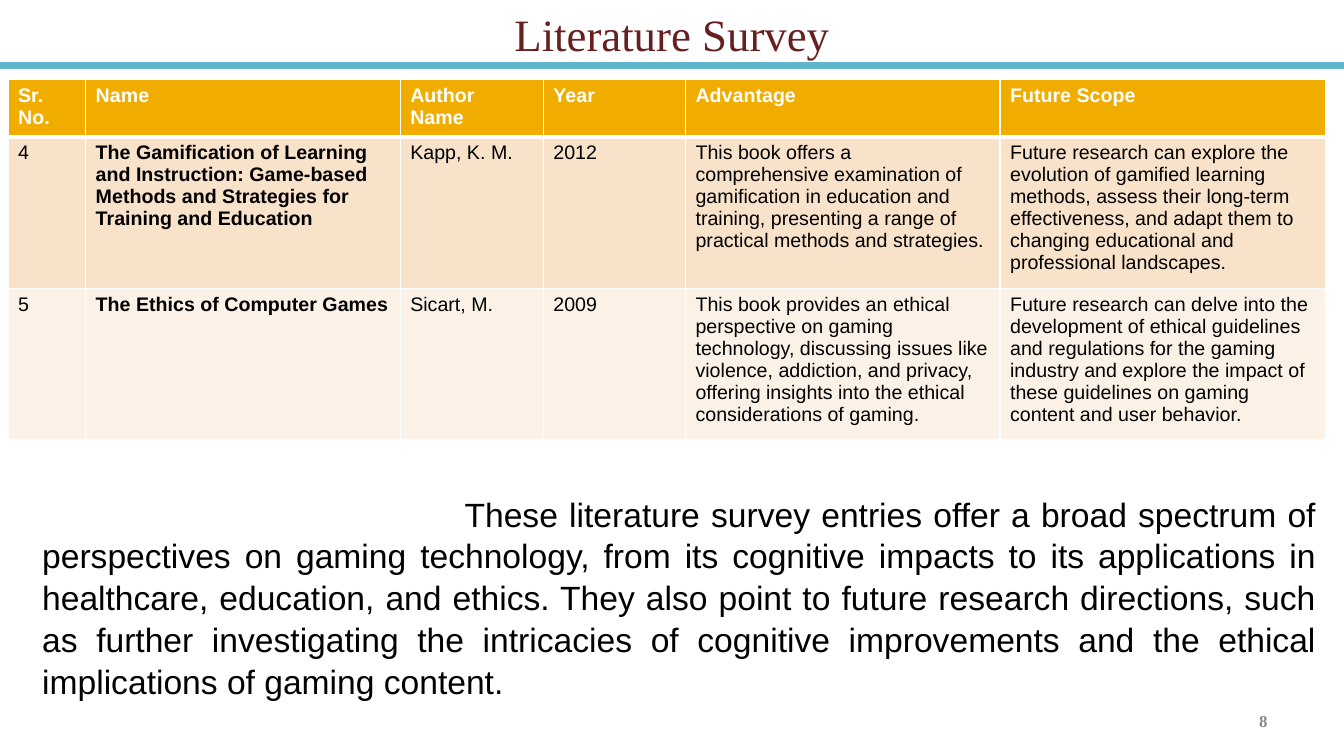
from lxml.etree import SubElement
from pptx import Presentation
from pptx.dml.color import RGBColor
from pptx.enum.shapes import MSO_SHAPE
from pptx.enum.text import MSO_ANCHOR, PP_ALIGN
from pptx.oxml.ns import qn
from pptx.util import Inches, Pt

WHITE = RGBColor(0xFF, 0xFF, 0xFF)
BLACK = RGBColor(0x00, 0x00, 0x00)
MAROON = RGBColor(0x66, 0x20, 0x1F)
GREY = RGBColor(0x89, 0x89, 0x89)
BLUE = RGBColor(0x60, 0xB5, 0xCC)
GOLD = RGBColor(0xF0, 0xAD, 0x00)
PEACH = RGBColor(0xF9, 0xE2, 0xCA)
CREAM = RGBColor(0xFC, 0xF1, 0xE6)

SERIF = "Times New Roman"
SANS = "Arial"
PAGE_WIDTH, PAGE_HEIGHT = 13.33, 7.5

COLUMNS = [0.77, 3.12, 1.42, 1.41, 3.12, 3.23]
ROWS = [0.54, 1.39, 1.39]
ROW_FILLS = [GOLD, PEACH, CREAM]
SURVEY = [
    ["Sr. No.", "Name", "Author Name", "Year", "Advantage", "Future Scope"],
    ["4",
     "The Gamification of Learning and Instruction: Game-based Methods and "
     "Strategies for Training and Education",
     "Kapp, K. M.", "2012",
     "This book offers a comprehensive examination of gamification in education "
     "and training, presenting a range of practical methods and strategies.",
     "Future research can explore the evolution of gamified learning methods, "
     "assess their long-term effectiveness, and adapt them to changing "
     "educational and professional landscapes."],
    ["5", "The Ethics of Computer Games", "Sicart, M.", "2009",
     "This book provides an ethical perspective on gaming technology, discussing "
     "issues like violence, addiction, and privacy, offering insights into the "
     "ethical considerations of gaming.",
     "Future research can delve into the development of ethical guidelines and "
     "regulations for the gaming industry and explore the impact of these "
     "guidelines on gaming content and user behavior."],
]
SUMMARY = (
    "These literature survey entries offer a broad spectrum of perspectives on "
    "gaming technology, from its cognitive impacts to its applications in "
    "healthcare, education, and ethics. They also point to future research "
    "directions, such as further investigating the intricacies of cognitive "
    "improvements and the ethical implications of gaming content."
)


def write_text(frame, text, font=SANS, size=14, color=BLACK, bold=False,
               align=PP_ALIGN.LEFT, spacing=None, indent=0):
    """Write one formatted paragraph into a text frame."""
    frame.word_wrap = True
    para = frame.paragraphs[0]
    para.alignment = align
    if spacing:
        para.line_spacing = spacing
    if indent:
        para._p.get_or_add_pPr().set("indent", str(Inches(indent)))
    span = para.add_run()
    span.text = text
    span.font.name = font
    span.font.size = Pt(size)
    span.font.bold = bold
    span.font.color.rgb = color


def add_text(page, box, text, anchor=MSO_ANCHOR.MIDDLE, **style):
    """Place a text box that fills the given box."""
    frame = page.shapes.add_textbox(*map(Inches, box)).text_frame
    frame.vertical_anchor = anchor
    write_text(frame, text, **style)


def set_borders(cell, widths):
    """Draw white cell borders; widths maps each side tag to points."""
    properties = cell._tc.get_or_add_tcPr()
    for position, (side, width) in enumerate(widths.items()):
        line = SubElement(properties, qn(f"a:{side}"), w=str(Pt(width)))
        fill = SubElement(line, qn("a:solidFill"))
        SubElement(fill, qn("a:srgbClr"), val=str(WHITE))
        properties.insert(position, line)


def add_header(page, box):
    """Place the title with the blue rule along the bottom of the box."""
    left, top, width, height = box
    rule = page.shapes.add_shape(
        MSO_SHAPE.RECTANGLE, *map(Inches, (left, top + height - 0.04, width, 0.04)))
    rule.shadow.inherit = False
    rule.fill.solid()
    rule.fill.fore_color.rgb = BLUE
    rule.line.color.rgb = BLUE
    rule.line.width = Pt(2)
    add_text(page, (left + 1.42, top + 0.08, width - 2.84, 0.5),
             "Literature Survey", font=SERIF, size=32, color=MAROON,
             align=PP_ALIGN.CENTER)


def add_survey(page, left, top):
    """Place the survey table with its top left corner at the given point."""
    box = (left, top, sum(COLUMNS), sum(ROWS))
    table = page.shapes.add_table(
        len(ROWS), len(COLUMNS), *map(Inches, box)).table
    for column, width in zip(table.columns, COLUMNS):
        column.width = Inches(width)
    for r, (entries, height, fill) in enumerate(zip(SURVEY, ROWS, ROW_FILLS)):
        table.rows[r].height = Inches(height)
        for c, text in enumerate(entries):
            cell = table.cell(r, c)
            cell.fill.solid()
            cell.fill.fore_color.rgb = fill
            set_borders(cell, {"lnL": 1, "lnR": 1, "lnT": 3 if r == 1 else 1,
                               "lnB": 3 if r == 0 else 1})
            write_text(cell.text_frame, text, bold=r == 0 or c == 1,
                       color=WHITE if r == 0 else BLACK)


def build_survey_page(deck):
    """Add the literature survey slide to the deck."""
    page = deck.slides.add_slide(deck.slide_layouts[6])
    add_header(page, (0, 0, PAGE_WIDTH, 0.67))
    add_survey(page, 0.08, 0.79)
    add_text(page, (0.32, 4.83, 12.83, 2.12), SUMMARY, anchor=MSO_ANCHOR.TOP,
             size=24, align=PP_ALIGN.JUSTIFY, spacing=1.04, indent=4.19)
    add_text(page, (9.56, 6.95, 3.11, 0.4), "8", font=SERIF, size=12,
             color=GREY, bold=True, align=PP_ALIGN.RIGHT)


def main():
    """Build and save the deck."""
    deck = Presentation()
    deck.slide_width = Inches(PAGE_WIDTH)
    deck.slide_height = Inches(PAGE_HEIGHT)
    build_survey_page(deck)
    deck.save("out.pptx")


if __name__ == "__main__":
    main()
